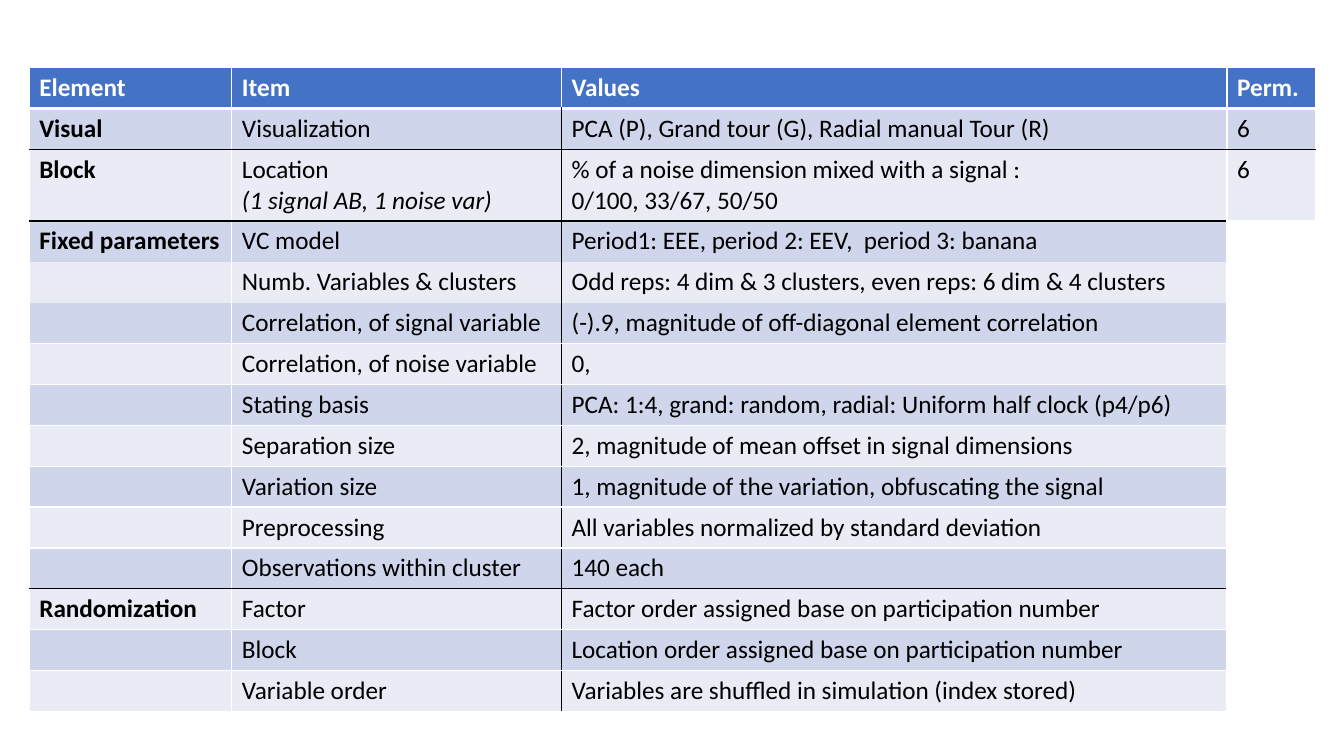
from dataclasses import dataclass

from lxml.etree import SubElement
from pptx import Presentation
from pptx.dml.color import RGBColor
from pptx.oxml.ns import qn
from pptx.util import Inches, Pt


@dataclass(frozen=True)
class Theme:
    """Colours, type and line widths of the slide."""
    font: str = "Calibri"
    size: int = 18
    header: str = "4472C4"
    bands: tuple = ("E9EBF5", "CFD5EA")
    light: str = "FFFFFF"
    dark: str = "000000"
    line: int = 1
    header_line: int = 3


THEME = Theme()
COLUMN_WIDTHS = (2.01, 3.27, 6.6, 0.88)
ROW_HEIGHT, TALL_ROW_HEIGHT = 0.4, 0.69
ELEMENT, ITEM, VALUES, PERM = range(4)
LAST_PERM_ROW = 2
SECTION_ENDS = (1, 2, 11)
UNRULED_ROWS = (3, 4)
PARAMETERS = (
    ("Element", "Item", "Values", "Perm."),
    ("Visual", "Visualization", "PCA (P), Grand tour (G), Radial manual Tour (R)", "6"),
    ("Block", "Location\n(1 signal AB, 1 noise var)",
     "% of a noise dimension mixed with a signal :\n0/100, 33/67, 50/50", "6"),
    ("Fixed parameters", "VC model", "Period1: EEE, period 2: EEV,  period 3: banana", ""),
    ("", "Numb. Variables & clusters",
     "Odd reps: 4 dim & 3 clusters, even reps: 6 dim & 4 clusters", ""),
    ("", "Correlation, of signal variable",
     "(-).9, magnitude of off-diagonal element correlation", ""),
    ("", "Correlation, of noise variable", "0,", ""),
    ("", "Stating basis", "PCA: 1:4, grand: random, radial: Uniform half clock (p4/p6)", ""),
    ("", "Separation size", "2, magnitude of mean offset in signal dimensions", ""),
    ("", "Variation size", "1, magnitude of the variation, obfuscating the signal", ""),
    ("", "Preprocessing", "All variables normalized by standard deviation", ""),
    ("", "Observations within cluster", "140 each", ""),
    ("Randomization", "Factor", "Factor order assigned base on participation number", ""),
    ("", "Block", "Location order assigned base on participation number", ""),
    ("", "Variable order", "Variables are shuffled in simulation (index stored)", ""),
)


def write_text(cell, text, row, column):
    """Write a cell's text, with bold headings and italic remarks."""
    cell.text_frame.text = text
    for paragraph in cell.text_frame.paragraphs:
        for run in paragraph.runs:
            run.font.name = THEME.font
            run.font.size = Pt(THEME.size)
            run.font.bold = row == 0 or column == ELEMENT
            run.font.italic = column == ITEM and run.text.startswith("(")
            run.font.color.rgb = RGBColor.from_string(THEME.dark if row else THEME.light)


def fill_cell(cell, row, column):
    """Fill the header and the bands, leaving unused permutations clear."""
    if column == PERM and row > LAST_PERM_ROW:
        cell.fill.background()
        return
    cell.fill.solid()
    colour = THEME.bands[row % 2] if row else THEME.header
    cell.fill.fore_color.rgb = RGBColor.from_string(colour)


def rule_below(row, column):
    """Return the colour and width of the line under a row."""
    if row == 0:
        return THEME.light, THEME.header_line
    if row in SECTION_ENDS and (column < PERM or row < LAST_PERM_ROW):
        return THEME.dark, THEME.line
    return THEME.light, 0 if row in UNRULED_ROWS else THEME.line


def rule_beside(row, column):
    """Return the colour and width of the line right of a column."""
    return THEME.dark if row and column == ITEM else THEME.light, THEME.line


def border_cell(cell, row, column):
    """Draw the four borders of a cell."""
    sides = {
        "a:lnL": rule_beside(row, column - 1),
        "a:lnR": rule_beside(row, column),
        "a:lnT": rule_below(row - 1, column),
        "a:lnB": rule_below(row, column),
    }
    properties = cell._tc.get_or_add_tcPr()
    for position, (side, (colour, width)) in enumerate(sides.items()):
        border = SubElement(properties, qn(side), w=str(Pt(width)))
        if width:
            paint = SubElement(border, qn("a:solidFill"))
            SubElement(paint, qn("a:srgbClr"), val=colour)
        else:
            SubElement(border, qn("a:noFill"))
        properties.insert(position, border)


def add_parameter_table(slide):
    """Add the table of study parameters."""
    frame = slide.shapes.add_table(
        len(PARAMETERS), len(COLUMN_WIDTHS),
        Inches(0.29), Inches(0.67), Inches(12.75), Inches(6.3))
    table = frame.table
    for column, width in zip(table.columns, COLUMN_WIDTHS):
        column.width = Inches(width)
    for row, texts in enumerate(PARAMETERS):
        tall = any("\n" in text for text in texts)
        table.rows[row].height = Inches(TALL_ROW_HEIGHT if tall else ROW_HEIGHT)
        for column, text in enumerate(texts):
            cell = table.cell(row, column)
            write_text(cell, text, row, column)
            fill_cell(cell, row, column)
            border_cell(cell, row, column)


def main():
    """Build and save the slide."""
    deck = Presentation()
    deck.slide_width, deck.slide_height = Inches(13.33), Inches(7.5)
    add_parameter_table(deck.slides.add_slide(deck.slide_layouts[6]))
    deck.save("out.pptx")


if __name__ == "__main__":
    main()
